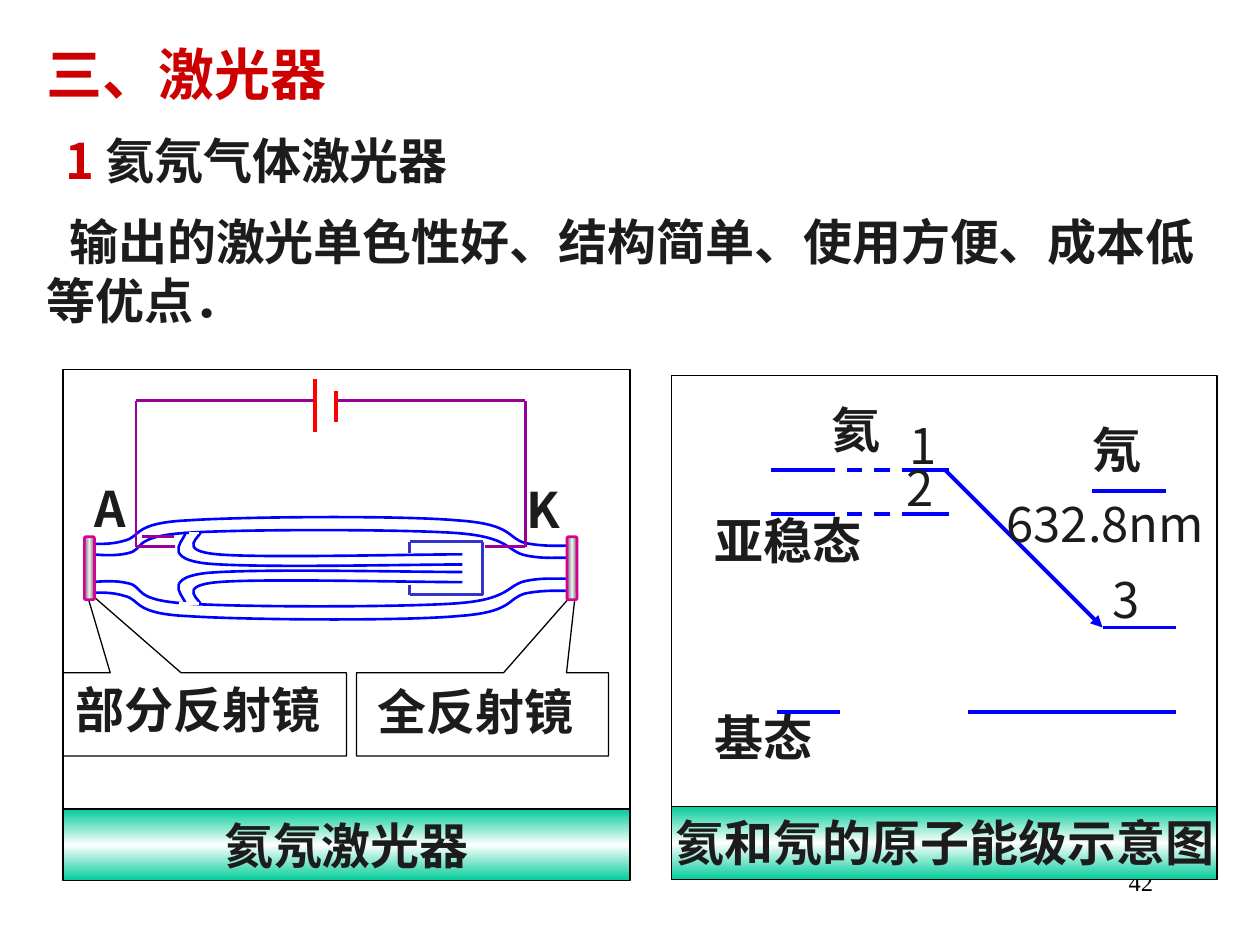
from copy import deepcopy
from typing import NamedTuple, Optional

from lxml.etree import SubElement
from pptx import Presentation
from pptx.dml.color import RGBColor
from pptx.enum.dml import MSO_LINE
from pptx.enum.shapes import MSO_CONNECTOR, MSO_SHAPE
from pptx.enum.text import MSO_ANCHOR, MSO_AUTO_SIZE, PP_ALIGN
from pptx.oxml.ns import qn
from pptx.util import Emu, Pt

PX = 9144  # one px is a hundredth of an inch
FONT = "Noto Sans CJK SC"
INK, RED, BLACK, WHITE = "1C1C1C", "CC0000", "000000", "FFFFFF"
BLUE, PURPLE, INDIGO, PINK, BRIGHT_RED = "0000FF", "990099", "3333CC", "D60093", "FF0000"
GREEN_BAND = ("00CC99", WHITE, "00CC99")
GREY_BAND = ("6E6E6E", "EEEEEE", "6E6E6E")
TUBE_AXIS_SUM = 902  # upper y + lower y of mirrored tube outlines


class Box(NamedTuple):
    left: int
    top: int
    width: int
    height: int


class Label(NamedTuple):
    text: str
    box: Box
    bold: bool = True
    align: PP_ALIGN = PP_ALIGN.LEFT
    wrap: bool = True
    size: int = 28
    font: str = FONT
    color: str = INK


class Line(NamedTuple):
    x1: int
    y1: int
    x2: int
    y2: int
    color: str = BLUE
    width: float = 2.25
    dashed: bool = False
    arrow: bool = False


def px(value: int) -> Emu:
    return Emu(value * PX)


def rgb(value: str) -> RGBColor:
    return RGBColor.from_string(value)


def place(shape, box: Box) -> None:
    shape.left, shape.top, shape.width, shape.height = map(px, box)


def write(shape, label: Label) -> None:
    frame = shape.text_frame
    frame.text = label.text
    frame.word_wrap = label.wrap
    frame.auto_size = MSO_AUTO_SIZE.NONE
    frame.vertical_anchor = MSO_ANCHOR.TOP
    paragraph = frame.paragraphs[0]
    paragraph.alignment = label.align
    paragraph.space_before = Pt(0)
    style_run(paragraph.runs[0], label)


def style_run(run, label: Label) -> None:
    font = run.font
    font.size, font.bold, font.name = Pt(label.size), label.bold, label.font
    font.color.rgb = rgb(label.color)
    SubElement(run._r.rPr, qn("a:ea")).set("typeface", label.font)


def add_label(slide, label: Label):
    shape = slide.shapes.add_textbox(*map(px, label.box))
    write(shape, label)
    return shape


def add_line(slide, line: Line) -> None:
    connector = slide.shapes.add_connector(
        MSO_CONNECTOR.STRAIGHT, px(line.x1), px(line.y1), px(line.x2), px(line.y2))
    connector.line.color.rgb = rgb(line.color)
    connector.line.width = Pt(line.width)
    if line.dashed:
        connector.line.dash_style = MSO_LINE.DASH
    if line.arrow:
        SubElement(connector.line._get_or_add_ln(), qn("a:tailEnd")).set("type", "triangle")
    SubElement(connector._element.spPr, qn("a:effectLst"))


def add_panel(slide, kind: MSO_SHAPE, box: Box, fill: Optional[str] = None,
              line: str = BLACK, width: float = 0.75):
    shape = slide.shapes.add_shape(kind, *map(px, box))
    shape.shadow.inherit = False
    shape.line.color.rgb = rgb(line)
    shape.line.width = Pt(width)
    if fill:
        shape.fill.solid()
        shape.fill.fore_color.rgb = rgb(fill)
    else:
        shape.fill.background()
    return shape


def shade(shape, colors: tuple, angle: int) -> None:
    shape.fill.gradient()
    shape.fill.gradient_angle = angle
    stops = shape._element.spPr.find(qn("a:gradFill")).find(qn("a:gsLst"))
    stops.insert(1, deepcopy(stops[0]))
    for stop, color, position in zip(shape.fill.gradient_stops, colors, (0, 0.5, 1)):
        stop.color.rgb = rgb(color)
        stop.position = position


def add_curve(slide, nodes: list) -> None:
    """Draw joined cubic curves: a start point, then three points a curve."""
    points = [(px(x), px(y)) for x, y in nodes]
    builder = slide.shapes.build_freeform(*points[0], scale=1.0)
    builder.add_line_segments(points[1:], close=False)
    shape = builder.convert_to_shape()
    # Turn each three straight segments into one cubic curve
    segments = list(shape._element.iter(qn("a:lnTo")))
    outline = segments[0].getparent()
    for first in range(0, len(segments), 3):
        curve = SubElement(outline, qn("a:cubicBezTo"))
        for segment in segments[first:first + 3]:
            curve.append(segment[0])
            outline.remove(segment)
    shape.shadow.inherit = False
    shape.fill.background()
    shape.line.color.rgb = rgb(BLUE)
    shape.line.width = Pt(1.5)


# Upper half of the laser tube: outer wall, inner wall, two electrode tubes
TUBE_CURVES = [
    [(71, 432), (76, 431), (86, 433), (99, 429), (112, 426), (105, 415), (149, 413),
     (193, 410), (319, 409), (363, 413), (408, 416), (402, 427), (417, 431),
     (432, 434), (446, 433), (453, 433)],
    [(72, 440), (77, 440), (90, 442), (102, 439), (115, 436), (104, 426), (147, 423),
     (190, 420), (316, 420), (361, 423), (406, 426), (402, 438), (418, 441),
     (433, 444), (445, 442), (452, 443)],
    [(159, 422), (161, 425), (138, 437), (173, 440), (207, 443), (326, 440), (367, 440)],
    [(147, 422), (150, 426), (125, 442), (162, 447), (198, 451), (324, 448), (367, 448)],
]
TUBE_ENDS = [Line(147, 479, 155, 479, BLUE, 1.5), Line(142, 479, 158, 479, WHITE, 1.5),
             Line(147, 423, 158, 423, BLUE, 1.5), Line(150, 423, 158, 423, WHITE, 1.5)]
CATHODE = [(325, 430, 325, 439), (325, 430, 383, 430), (325, 472, 325, 464),
           (325, 472, 383, 472), (383, 430, 383, 472)]
WIRES = [(108, 318, 108, 434), (108, 434, 139, 434), (108, 318, 250, 318),
         (417, 318, 417, 434), (417, 434, 385, 434), (417, 318, 267, 318),
         (113, 426, 138, 426)]
BATTERY = [(250, 301, 250, 343), (267, 310, 267, 335)]
LASER_LABELS = [Label("全反射镜", Box(290, 536, 285, 57)),
                Label("部分反射镜", Box(50, 534, 318, 57)),
                Label("A", Box(65, 375, 127, 57)), Label("K", Box(408, 376, 100, 57))]
LEVELS = [Line(768, 565, 933, 565), Line(750, 373, 875, 498, arrow=True),
          Line(875, 498, 933, 498), Line(667, 565, 617, 565), Line(867, 390, 925, 390)]
LEVEL_LABELS = [
    Label("氦和氖的原子能级示意图", Box(500, 640, 500, 57), align=PP_ALIGN.CENTER),
    Label("基态", Box(557, 557, 235, 57)), Label("亚稳态", Box(557, 400, 227, 57)),
    Label("氦", Box(650, 312, 102, 57)), Label("氖", Box(857, 328, 168, 57)),
    Label("632.8nm", Box(789, 387, 179, 57), bold=False, wrap=False),
    Label("1", Box(712, 325, 60, 57), bold=False),
    Label("2", Box(710, 358, 77, 57), bold=False),
    Label("3", Box(873, 447, 118, 57), bold=False)]


def draw_headings(slide) -> None:
    add_label(slide, Label("42", Box(717, 683, 208, 50), False, PP_ALIGN.RIGHT,
                           size=14, font="Times New Roman", color=BLACK))
    title, body = slide.shapes.title, slide.placeholders[1]
    heading = Label("三、激光器", Box(27, 26, 510, 64), size=32, color=RED)
    summary = Label("输出的激光单色性好、结构简单、使用方便、成本低等优点．", Box(27, 163, 958, 104))
    for shape, label in ((title, heading), (body, summary)):
        place(shape, label.box)
        write(shape, label)
    # Plain paragraph with a first-line indent instead of a bullet
    properties = body.text_frame.paragraphs[0]._p.get_or_add_pPr()
    properties.set("marL", "0")
    properties.set("indent", str(px(18)))
    SubElement(properties, qn("a:buNone"))
    topic = Label("1 ", Box(42, 99, 552, 57), color=RED)
    run = add_label(slide, topic).text_frame.paragraphs[0].add_run()
    run.text = "氦氖气体激光器"
    style_run(run, topic._replace(color=INK))


def draw_laser(slide) -> None:
    add_panel(slide, MSO_SHAPE.RECTANGLE, Box(50, 293, 450, 349), WHITE)
    caption = Label("氦氖激光器", Box(50, 642, 450, 57), align=PP_ALIGN.CENTER)
    band = add_panel(slide, MSO_SHAPE.RECTANGLE, caption.box)
    shade(band, GREEN_BAND, 90)
    write(band, caption)
    for box, tip in ((Box(283, 534, 200, 66), (0.37, -1.49)),
                     (Box(50, 534, 225, 66), (-0.42, -1.5))):
        callout = add_panel(slide, MSO_SHAPE.RECTANGULAR_CALLOUT, box)
        callout.adjustments[0], callout.adjustments[1] = tip
    for nodes in TUBE_CURVES:
        add_curve(slide, nodes)
        add_curve(slide, [(x, TUBE_AXIS_SUM - y) for x, y in nodes])
    for line in TUBE_ENDS:
        add_line(slide, line)
    for left in (450, 67):
        mirror = add_panel(slide, MSO_SHAPE.ROUNDED_RECTANGLE, Box(left, 426, 8, 50),
                           line=PINK, width=1.5)
        mirror.adjustments[0] = 0.15
        shade(mirror, GREY_BAND, 0)
    for ends, color, width in ((CATHODE, INDIGO, 1.5), (WIRES, PURPLE, 1.5),
                               (BATTERY, BRIGHT_RED, 2.25)):
        for end in ends:
            add_line(slide, Line(*end, color, width))
    for label in LASER_LABELS:
        add_label(slide, label)


def draw_levels(slide) -> None:
    shade(add_panel(slide, MSO_SHAPE.RECTANGLE, Box(533, 640, 433, 58)), GREEN_BAND, 90)
    add_panel(slide, MSO_SHAPE.RECTANGLE, Box(533, 298, 433, 342), WHITE)
    for line in LEVELS:
        add_line(slide, line)
    for y in (373, 408):  # metastable levels, dashed in the middle
        add_line(slide, Line(728, y, 753, y))
        add_line(slide, Line(728, y, 653, y, dashed=True))
        add_line(slide, Line(653, y, 612, y))
    for label in LEVEL_LABELS:
        add_label(slide, label)


def main() -> None:
    presentation = Presentation()
    presentation.slide_width, presentation.slide_height = px(1000), px(750)
    slide = presentation.slides.add_slide(presentation.slide_layouts[1])
    draw_headings(slide)
    draw_laser(slide)
    draw_levels(slide)
    presentation.save("out.pptx")


if __name__ == "__main__":
    main()
